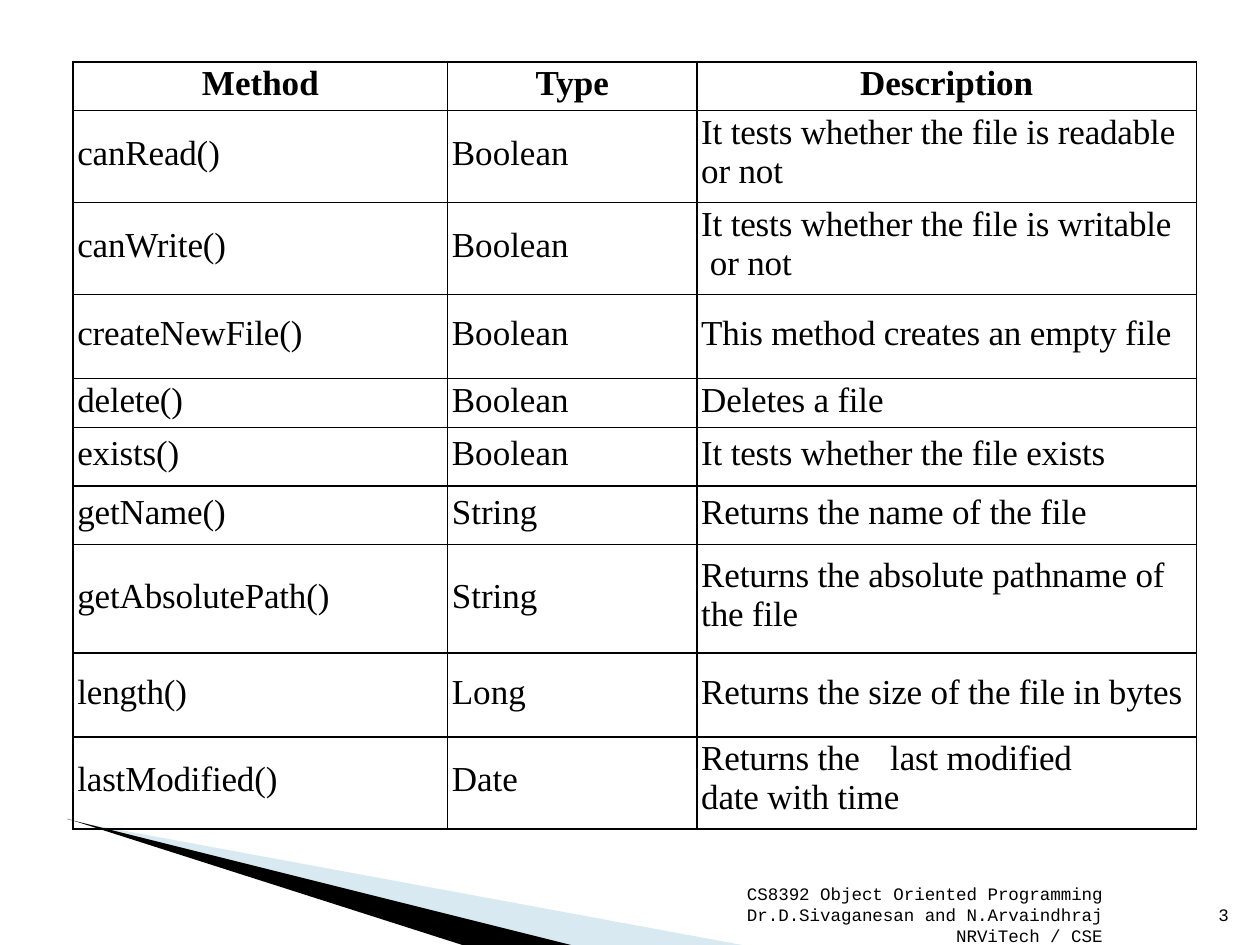
import pptx
import pptx.util
import pptx.dml.color
import pptx.enum.text
import pptx.oxml
import pptx.oxml.ns
from lxml import etree

Pt = pptx.util.Pt
ALIGN = pptx.enum.text.PP_ALIGN
COLORS = {"ink": "000000", "sky": "9FCADC"}
SERIF, MONO = "Times New Roman", "Courier New"
EXTRA_LINE = 12  # a second line starts this much higher in its cell
COLUMNS = [214, 142.5, 285.5]
HEADER = ["Method", "Type", "Description"]
HEADER_HEIGHT = 28

# Row height, text top, method, type, description as (text, indent) lines
METHODS = [
    (52.5, 13.4, "canRead()", "Boolean",
     [("It tests whether the file is readable", 2.4), ("or not", 2.4)]),
    (52.5, 13.4, "canWrite()", "Boolean",
     [("It tests whether the file is writable", 2.4), ("or not", 7.4)]),
    (48, 11.2, "createNewFile()", "Boolean",
     [("This method creates an empty file", 2.4)]),
    (28, 1.4, "delete()", "Boolean", [("Deletes a file", 2.4)]),
    (33.5, 4.1, "exists()", "Boolean", [("It tests whether the file exists", 2.4)]),
    (33.5, 4.1, "getName()", "String", [("Returns the name of the file", 2.4)]),
    (62, 18.5, "getAbsolutePath()", "String",
     [("Returns the absolute pathname of", 2.4), ("the file", 2.4)]),
    (48, 11.3, "length()", "Long", [("Returns the size of the file in bytes", 2.4)]),
    (52.5, 13.5, "lastModified()", "Date",
     [("Returns the\tlast modified", 2.4), ("date with time", 2.4)]),
]
FOOTER = ["CS8392 Object Oriented Programming",
          "Dr.D.Sivaganesan and N.Arvaindhraj", "NRViTech / CSE"]


def color(name):
    return pptx.dml.color.RGBColor.from_string(COLORS[name])


def add_tag(parent, tag, **attributes):
    child = etree.SubElement(parent, pptx.oxml.ns.qn(tag))
    for key, value in attributes.items():
        child.set(key, str(value))
    return child


def write_line(para, text, font=SERIF, size=20, bold=False, align=ALIGN.LEFT,
               indent=0, spacing=0, tab=None):
    para.alignment = align
    properties = para._p.get_or_add_pPr()
    properties.set("marL", str(Pt(indent)))
    properties.set("indent", "0")
    if tab:
        add_tag(add_tag(properties, "a:tabLst"), "a:tab", pos=Pt(tab), algn="l")
    span = para.add_run()
    span.text = text
    span.font.name, span.font.size, span.font.bold = font, Pt(size), bold
    span.font.color.rgb = color("ink")
    if spacing:
        span._r.get_or_add_rPr().set("spc", str(round(spacing * 100)))


def next_para(frame, index):
    return frame.add_paragraph() if index else frame.paragraphs[0]


class Page:
    def __init__(self, deck):
        self.shapes = deck.slides.add_slide(deck.slide_layouts[6]).shapes

    def polygon(self, outlines, fill, alpha=None):
        builder = None
        for start, *others in outlines:
            x, y = (Pt(value) for value in start)
            if builder is None:
                builder = self.shapes.build_freeform(x, y, scale=1.0)
            else:
                builder.move_to(x, y)
            builder.add_line_segments([(Pt(a), Pt(b)) for a, b in others], close=True)
        shape = builder.convert_to_shape()
        shape.shadow.inherit = False
        shape.fill.solid()
        shape.fill.fore_color.rgb = color(fill)
        shape.line.fill.background()
        if alpha:
            srgb = shape._element.spPr.find(".//" + pptx.oxml.ns.qn("a:srgbClr"))
            add_tag(srgb, "a:alpha", val=alpha * 1000)

    def text(self, left, top, width, height, lines, **style):
        box = self.shapes.add_textbox(Pt(left), Pt(top), Pt(width), Pt(height))
        frame = box.text_frame
        frame.word_wrap = True
        frame.margin_left = frame.margin_right = frame.margin_bottom = 0
        frame.margin_top = Pt(1)
        for index, line in enumerate(lines):
            write_line(next_para(frame, index), line, font=MONO, size=10, **style)

    def cell(self, cell, lines, top, **style):
        cell.margin_left = cell.margin_right = cell.margin_bottom = 0
        cell.margin_top = Pt(top)
        for index, (text, indent) in enumerate(lines):
            write_line(next_para(cell.text_frame, index), text, indent=indent,
                       tab=103.7 if "\t" in text else None, **style)
        properties = cell._tc.get_or_add_tcPr()
        for side in ("a:lnL", "a:lnR", "a:lnT", "a:lnB"):
            border = add_tag(properties, side, w=Pt(1))
            add_tag(add_tag(border, "a:solidFill"), "a:srgbClr", val=COLORS["ink"])
        cell.fill.background()

    def method_table(self, left, top):
        heights = [HEADER_HEIGHT] + [row[0] for row in METHODS]
        table = self.shapes.add_table(
            len(heights), len(COLUMNS), Pt(left), Pt(top),
            Pt(sum(COLUMNS)), Pt(sum(heights))).table
        table.first_row = table.horz_banding = False
        for column, width in zip(table.columns, COLUMNS):
            column.width = Pt(width)
        for row, height in zip(table.rows, heights):
            row.height = Pt(height)
        for column, title in enumerate(HEADER):
            self.cell(table.cell(0, column), [(title, 0)], 1.4,
                      bold=True, align=ALIGN.CENTER)
        for row, (_, text_top, method, kind, description) in enumerate(METHODS, 1):
            self.cell(table.cell(row, 0), [(method, 2.4)], text_top, spacing=-0.1)
            self.cell(table.cell(row, 1), [(kind, 2.4)], text_top)
            self.cell(table.cell(row, 2), description,
                      text_top - EXTRA_LINE * (len(description) - 1), spacing=-0.1)


def main():
    deck = pptx.Presentation()
    deck.slide_width, deck.slide_height = Pt(720), Pt(540)
    page = Page(deck)
    page.polygon([[(46.1, 470.2), (324.7, 540), (424.1, 540)],
                  [(39.6, 468), (39.6, 468.7), (46.1, 470.2)]], "sky", alpha=40)
    page.polygon([[(38.2, 468), (38.9, 468), (264.2, 540), (326.2, 540)]], "ink")
    page.text(369.4, 503.3, 260.6, 26, FOOTER, align=ALIGN.RIGHT)
    page.text(695.5, 515.5, 9, 14, ["3"], indent=0.7)
    page.method_table(41.8, 35.3)
    deck.save("out.pptx")


if __name__ == "__main__":
    main()
